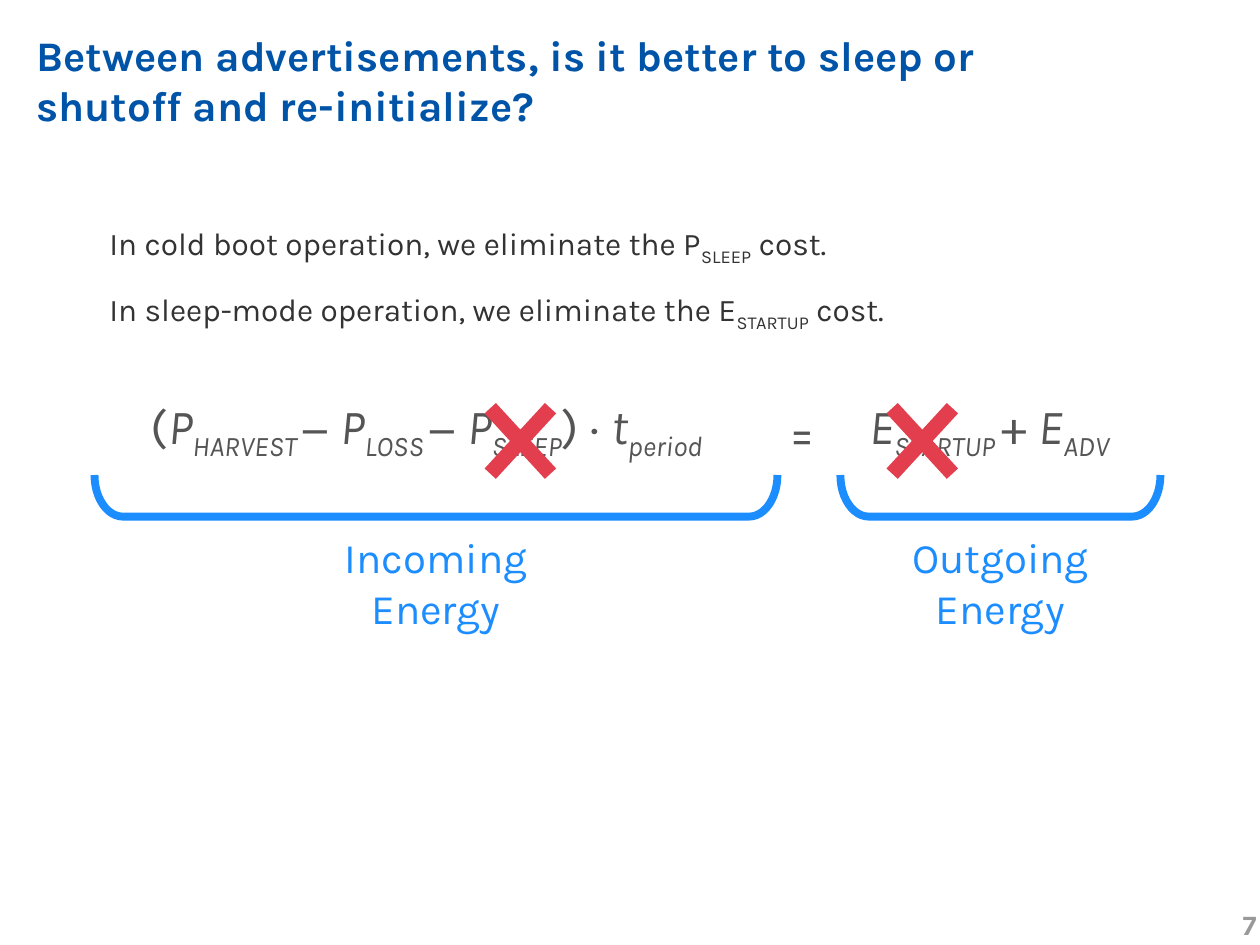
from pptx import Presentation
from pptx.dml.color import RGBColor
from pptx.enum.shapes import MSO_SHAPE
from pptx.enum.text import MSO_ANCHOR, PP_ALIGN
from pptx.util import Inches, Pt

LEFT, CENTER, RIGHT = PP_ALIGN.LEFT, PP_ALIGN.CENTER, PP_ALIGN.RIGHT
TOP, BOTTOM = MSO_ANCHOR.TOP, MSO_ANCHOR.BOTTOM
BRACKET, CROSS = MSO_SHAPE.LEFT_BRACKET, MSO_SHAPE.MATH_MULTIPLY

FONT = "Karla"
NAVY, BLUE, RED = "0054A8", "1B8DFF", "E23E4D"
DARK, GREY, PALE = "333333", "555555", "999999"

# Runs are (text, style): "i" is italic, "s" is subscript.
TITLE = "Between advertisements, is it better to sleep or shutoff and re-initialize?"
STATEMENTS = [
    [("In cold boot operation, we eliminate the P", ""), ("SLEEP", "s"), (" cost.", "")],
    [("In sleep-mode operation, we eliminate the E", ""), ("STARTUP", "s"), (" cost.", "")],
]
INCOMING = [
    ("(", ""), ("P", "i"), ("HARVEST ", "is"), ("− ", ""), ("P", "i"), ("LOSS ", "is"),
    ("− ", ""), ("P", "i"), ("SLEEP", "is"), (") · ", ""), ("t", "i"), ("period", "is"),
]
OUTGOING = [("E", "i"), ("STARTUP ", "is"), ("+ ", ""), ("E", "i"), ("ADV ", "is")]
EQUATION = [  # left, top, width, height, runs
    (0.27, 3.09, 6.23, 0.92, INCOMING),
    (5.83, 3.14, 1.08, 0.62, [("=", "")]),
    (6.5, 3.09, 2.75, 0.92, OUTGOING),
]
SIDES = [  # left, width, label lines
    (0.75, 5.42, ["Incoming", "Energy"]),
    (6.67, 2.54, ["Outgoing", "Energy"]),
]
CROSS_LEFTS = [3.67, 6.86]
BRACE_TOP, BRACE_DEPTH = 3.77, 0.33


def color(hex_code):
    return RGBColor.from_string(hex_code)


def add_text(slide, box, paragraphs, size, hex_code, align=LEFT, bold=False, anchor=TOP):
    """Add a text box; each paragraph is a list of (text, style) runs."""
    tf = slide.shapes.add_textbox(*map(Inches, box)).text_frame
    tf.word_wrap = True
    tf.vertical_anchor = anchor
    for i, runs in enumerate(paragraphs):
        p = tf.add_paragraph() if i else tf.paragraphs[0]
        p.alignment = align
        p.font.name, p.font.size, p.font.bold = FONT, Pt(size), bold
        p.font.color.rgb = color(hex_code)
        for text, style in runs:
            r = p.add_run()
            r.text = text
            if "i" in style:
                r.font.italic = True
            if "s" in style:
                r.font._element.set("baseline", "-25000")


def add_brace(slide, left, width):
    """Add a bracket turned on its side, opening upward across the width."""
    x = left + (width - BRACE_DEPTH) / 2
    y = BRACE_TOP + (BRACE_DEPTH - width) / 2
    sp = slide.shapes.add_shape(BRACKET, *map(Inches, (x, y, BRACE_DEPTH, width)))
    sp.rotation = 270
    sp.adjustments[0] = 0.683
    sp.shadow.inherit = False
    sp.fill.background()
    sp.line.color.rgb = color(BLUE)
    sp.line.width = Pt(4.5)


def add_cross(slide, left):
    sp = slide.shapes.add_shape(CROSS, *map(Inches, (left, 3, 0.92, 1)))
    sp.adjustments[0] = 0.132
    sp.shadow.inherit = False
    sp.fill.solid()
    sp.fill.fore_color.rgb = color(RED)
    sp.line.fill.background()


def main():
    prs = Presentation()
    prs.slide_width, prs.slide_height = Inches(10), Inches(7.5)
    slide = prs.slides.add_slide(prs.slide_layouts[6])

    add_text(slide, (0.19, 0.08, 8.48, 1), [[(TITLE, "")]], 24, NAVY, bold=True, anchor=BOTTOM)
    for row, runs in enumerate(STATEMENTS):
        add_text(slide, (0.77, 1.73 + 0.52 * row, 8.15, 0.4), [runs], 18, DARK)
    for *box, runs in EQUATION:
        add_text(slide, box, [runs], 28, GREY, CENTER)
    for left, width, lines in SIDES:
        add_brace(slide, left, width)
        add_text(slide, (left, 4.17, width, 0.91), [[(line, "")] for line in lines], 24, BLUE, CENTER)
    for left in CROSS_LEFTS:
        add_cross(slide, left)
    add_text(slide, (6.9, 7.15, 3.17, 0.5), [[("7", "")]], 16, PALE, RIGHT, bold=True)

    prs.save("out.pptx")


if __name__ == "__main__":
    main()
